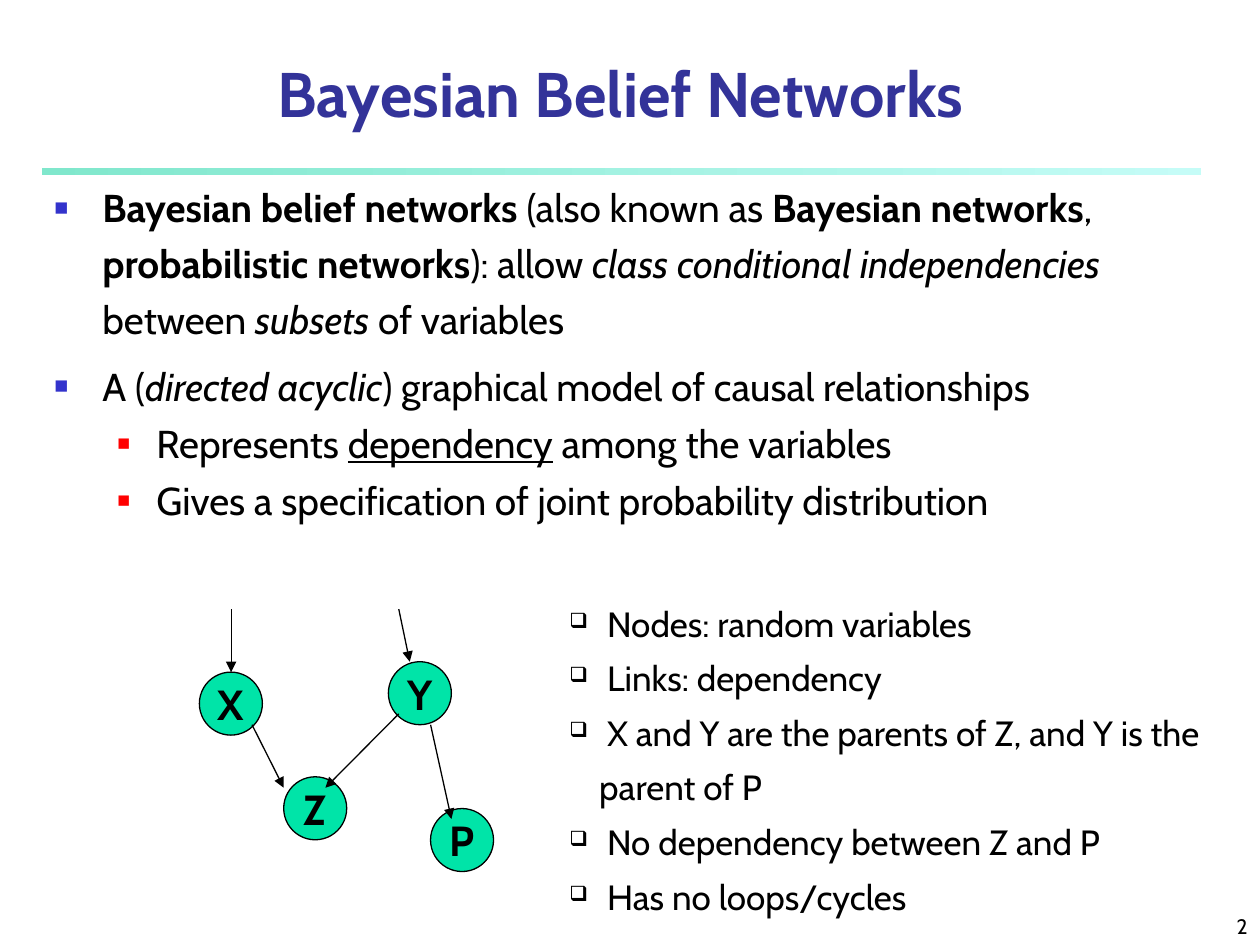
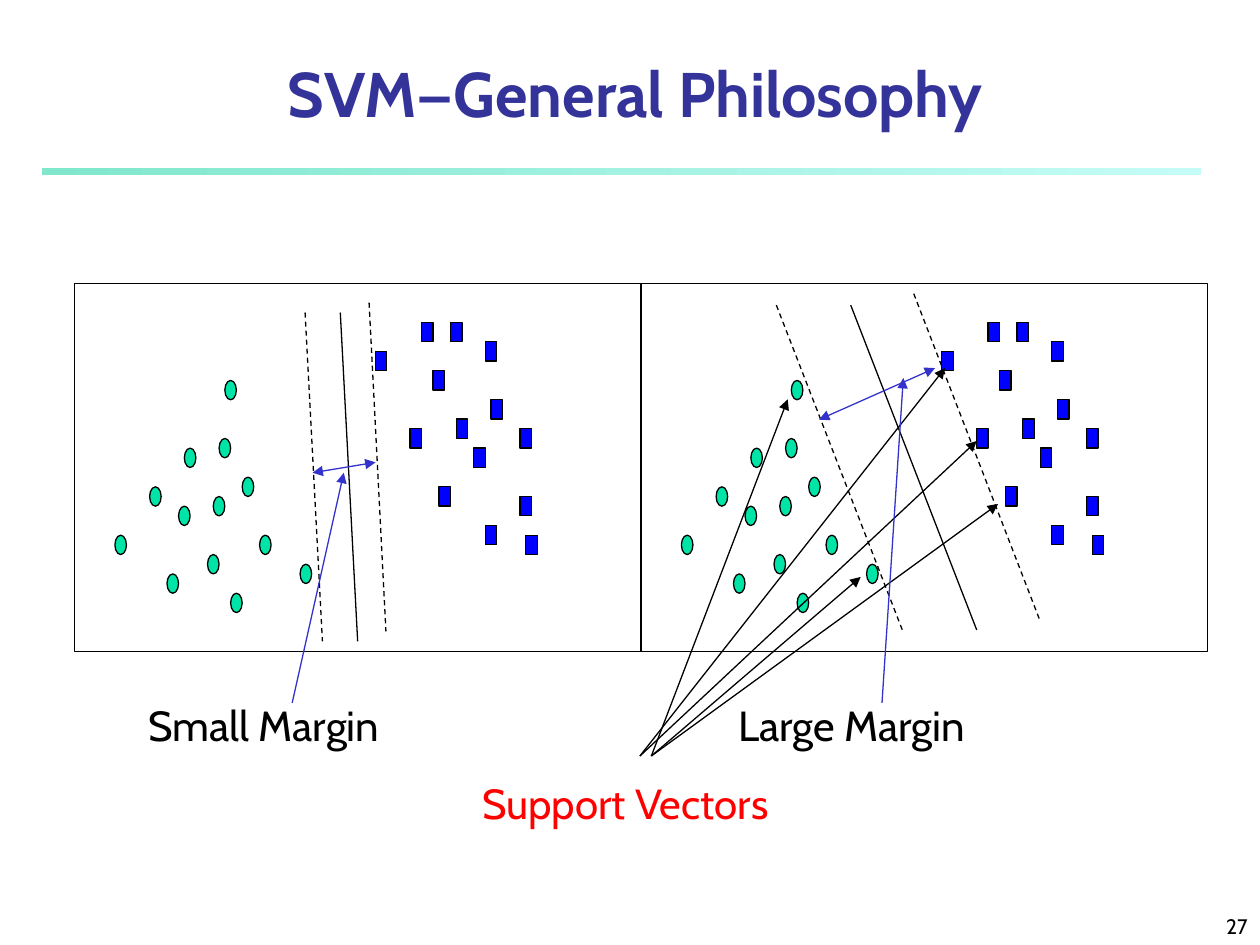
"""Build two lecture slides on Bayesian belief networks and support vector machines."""
import lxml.etree
import pptx
import pptx.dml.color
import pptx.enum.dml
import pptx.enum.shapes
import pptx.enum.text
import pptx.oxml.ns
import pptx.util
from pptx.util import Cm

FONT = "Cabin"
BLACK, RED, BLUE, GREEN = "000000", "FF0000", "0000FF", "00E4A8"
TITLE_COLOR, ACCENT = "333399", "3333CC"
BAND_COLORS = ("80E7CC", "C5FCF7")

SHAPES = pptx.enum.shapes.MSO_SHAPE
ALIGN = pptx.enum.text.PP_ALIGN
ANCHOR = pptx.enum.text.MSO_ANCHOR

PANEL_TOP, PANEL_WIDTH, PANEL_HEIGHT = 5.72, 11.43, 7.41
LEFT_PANEL, RIGHT_PANEL = 1.5, 12.92
COLUMN, ROW = PANEL_WIDTH / 98, PANEL_HEIGHT / 38
CIRCLES = [(16, 30), (18, 23), (7, 26), (13, 21), (23, 28), (19, 17), (24, 22),
           (25, 16), (29, 20), (32, 26), (27, 32), (39, 29), (26, 10)]
SQUARES = [(58, 15), (52, 7), (60, 4), (63, 21), (62, 9), (66, 14), (65, 4),
           (71, 6), (69, 17), (72, 12), (71, 25), (77, 15), (77, 22), (78, 26)]


def rgb(color):
    return pptx.dml.color.RGBColor.from_string(color)


def add_element(parent, tag, **attributes):
    return lxml.etree.SubElement(parent, pptx.oxml.ns.qn(tag), attributes)


def style_font(paragraph, size, color=BLACK, bold=False):
    font = paragraph.font
    font.name, font.size, font.bold = FONT, pptx.util.Pt(size), bold
    font.color.rgb = rgb(color)


def add_bullet(paragraph, character, color, percent, margin, hanging):
    properties = paragraph._p.get_or_add_pPr()
    properties.set("marL", str(Cm(margin)))
    properties.set("indent", str(-Cm(hanging)))
    bullet_color = add_element(properties, "a:buClr")
    add_element(bullet_color, "a:srgbClr", val=color)
    add_element(properties, "a:buSzPct", val=str(percent * 1000))
    add_element(properties, "a:buChar", char=character)


def place(shape, left, top, width, height):
    shape.left, shape.top = Cm(left), Cm(top)
    shape.width, shape.height = Cm(width), Cm(height)


def add_shape(slide, kind, left, top, width, height, fill=None):
    shape = slide.shapes.add_shape(kind, Cm(left), Cm(top), Cm(width), Cm(height))
    shape.shadow.inherit = False
    if fill:
        shape.fill.solid()
        shape.fill.fore_color.rgb = rgb(fill)
    else:
        shape.fill.background()
    shape.line.color.rgb = rgb(BLACK)
    shape.line.width = pptx.util.Pt(0.75)
    return shape


def add_line(slide, start, end, color=BLACK, dashed=False, head=False, tail=False):
    connector = slide.shapes.add_connector(
        pptx.enum.shapes.MSO_CONNECTOR.STRAIGHT, *map(Cm, start + end))
    connector.line.color.rgb = rgb(color)
    connector.line.width = pptx.util.Pt(0.75)
    if dashed:
        connector.line.dash_style = pptx.enum.dml.MSO_LINE.DASH
    properties = connector._element.spPr
    outline = properties.get_or_add_ln()
    if head:
        add_element(outline, "a:headEnd", type="triangle")
    if tail:
        add_element(outline, "a:tailEnd", type="triangle")
    add_element(properties, "a:effectLst")


def add_text(slide, text, left, top, width, height, size, color=BLACK):
    box = slide.shapes.add_textbox(Cm(left), Cm(top), Cm(width), Cm(height))
    box.text_frame.word_wrap = False
    paragraph = box.text_frame.paragraphs[0]
    paragraph.text = text
    style_font(paragraph, size, color)
    return box


def start_slide(presentation, layout, title, title_width, number):
    slide = presentation.slides.add_slide(presentation.slide_layouts[layout])
    band = add_shape(slide, SHAPES.RECTANGLE, 0.84, 3.39, 23.37, 0.14)
    band.line.fill.background()
    band.fill.gradient()
    band.fill.gradient_angle = 0
    for stop, color in zip(band.fill.gradient_stops, BAND_COLORS):
        stop.color.rgb = rgb(color)

    place(slide.shapes.title, 0.84, 1.06, title_width, 1.69)
    frame = slide.shapes.title.text_frame
    frame.text = title
    frame.vertical_anchor = ANCHOR.BOTTOM
    frame.auto_size = pptx.enum.text.MSO_AUTO_SIZE.NONE
    frame.paragraphs[0].alignment = ALIGN.CENTER
    style_font(frame.paragraphs[0], 36, TITLE_COLOR, bold=True)

    footer = add_text(slide, str(number), 20.12, 17.98, 5.28, 1.07, 12)
    footer.text_frame.word_wrap = True
    footer.text_frame.vertical_anchor = ANCHOR.BOTTOM
    footer.text_frame.paragraphs[0].alignment = ALIGN.RIGHT
    return slide


def next_paragraph(frame, index):
    return frame.add_paragraph() if index else frame.paragraphs[0]


def fill_body(slide, items):
    body = slide.placeholders[1]
    place(body, 0.84, 3.39, 23.7, 8.36)
    frame = body.text_frame
    frame.auto_size = pptx.enum.text.MSO_AUTO_SIZE.NONE
    for index, (level, runs) in enumerate(items):
        paragraph = next_paragraph(frame, index)
        paragraph.level = level
        if level:
            add_bullet(paragraph, "■", RED, 55, 2.06, 0.79)
        else:
            add_bullet(paragraph, "■", ACCENT, 60, 0.97, 0.97)
        paragraph.line_spacing = 1.0 if level else 1.2
        paragraph.space_before = pptx.util.Pt(6 if index else 0)
        style_font(paragraph, 22.2)
        for text, style in runs:
            run = paragraph.add_run()
            run.text = text
            if style:
                setattr(run.font, style, True)


def add_notes_list(slide, lines):
    box = slide.shapes.add_textbox(Cm(11.23), Cm(11.76), Cm(13.72), Cm(6.86))
    box.text_frame.word_wrap = True
    for index, line in enumerate(lines):
        paragraph = next_paragraph(box.text_frame, index)
        paragraph.text = line
        add_bullet(paragraph, "❑", BLACK, 60, 0.6, 0.6)
        paragraph.line_spacing = 1.3
        style_font(paragraph, 20)


def add_node(slide, name, left, top):
    node = add_shape(slide, SHAPES.FLOWCHART_CONNECTOR, left, top, 1.27, 1.27, GREEN)
    frame = node.text_frame
    frame.word_wrap = False
    frame.vertical_anchor = ANCHOR.MIDDLE
    frame.text = name
    frame.paragraphs[0].alignment = ALIGN.CENTER
    style_font(frame.paragraphs[0], 24, bold=True)


def add_panel(slide, left, boundary, margins):
    for kind, fill, cells in ((SHAPES.OVAL, GREEN, CIRCLES),
                              (SHAPES.RECTANGLE, BLUE, SQUARES)):
        for column, row in cells:
            add_shape(slide, kind, left + column * COLUMN, PANEL_TOP + row * ROW,
                      2 * COLUMN, 2 * ROW, fill)
    add_shape(slide, SHAPES.RECTANGLE, left, PANEL_TOP, PANEL_WIDTH, PANEL_HEIGHT)
    for start, end in margins:
        add_line(slide, start, end, dashed=True)
    add_line(slide, *boundary)


def add_margin_label(slide, text, left, width, span, pointer):
    add_text(slide, text, left, 13.97, width, 1.27, 24)
    add_line(slide, *span, color=ACCENT, head=True, tail=True)
    add_line(slide, *pointer, color=ACCENT, tail=True)


def build_network_slide(presentation):
    slide = start_slide(presentation, 1, "Bayesian Belief Networks", 23.34, 2)
    fill_body(slide, [
        (0, [("Bayesian belief networks", "bold"), (" (also known as ", None),
             ("Bayesian networks", "bold"), (", ", None),
             ("probabilistic networks", "bold"), ("): allow ", None),
             ("class conditional independencies", "italic"), (" between ", None),
             ("subsets", "italic"), (" of variables", None)]),
        (0, [("A (", None), ("directed acyclic", "italic"),
             (") graphical model of causal relationships", None)]),
        (1, [("Represents ", None), ("dependency", "underline"),
             (" among the variables", None)]),
        (1, [("Gives a specification of joint probability distribution", None)]),
    ])
    for name, left, top in (("X", 4.02, 13.55), ("Y", 7.83, 13.34),
                            ("Z", 5.72, 15.66), ("P", 8.68, 16.3)):
        add_node(slide, name, left, top)
    for start, end in (((5.08, 14.61), (5.72, 15.88)), ((8.04, 14.39), (6.56, 15.88)),
                       ((8.68, 14.61), (9.1, 16.51)), ((4.66, 12.28), (4.66, 13.55)),
                       ((8.04, 12.28), (8.26, 13.34))):
        add_line(slide, start, end, tail=True)
    add_notes_list(slide, [
        " Nodes: random variables",
        " Links: dependency",
        " X and Y are the parents of Z, and Y is the parent of P",
        " No dependency between Z and P",
        " Has no loops/cycles",
    ])


def build_margin_slide(presentation):
    slide = start_slide(presentation, 5, "SVM—General Philosophy", 23.93, 27)
    add_panel(slide, LEFT_PANEL, ((6.86, 6.3), (7.21, 12.93)),
              [((7.44, 6.1), (7.78, 12.73)), ((6.15, 6.3), (6.5, 12.93))])
    add_panel(slide, RIGHT_PANEL, ((17.15, 6.15), (19.69, 12.7)),
              [((15.65, 6.15), (18.19, 12.7)), ((18.42, 5.92), (20.96, 12.5))])
    add_text(slide, "Support Vectors", 9.47, 15.54, 6.88, 1.27, 24, RED)
    for start_left, tip in ((12.9, (19.05, 7.42)), (12.9, (19.69, 8.89)),
                            (13.13, (20.12, 10.16)), (13.13, (17.35, 11.63)),
                            (13.13, (15.88, 8.05))):
        add_line(slide, (start_left, 15.24), tip, tail=True)
    add_margin_label(slide, "Small Margin", 2.74, 5.74,
                     ((6.3, 9.53), (7.57, 9.32)), ((5.89, 14.17), (6.93, 9.53)))
    add_margin_label(slide, "Large Margin", 14.63, 5.84,
                     ((16.51, 8.46), (18.85, 7.42)), ((17.78, 14.17), (18.21, 7.62)))


def main():
    presentation = pptx.Presentation()
    presentation.slide_width, presentation.slide_height = Cm(25.4), Cm(19.05)
    build_network_slide(presentation)
    build_margin_slide(presentation)
    presentation.save("out.pptx")


if __name__ == "__main__":
    main()
